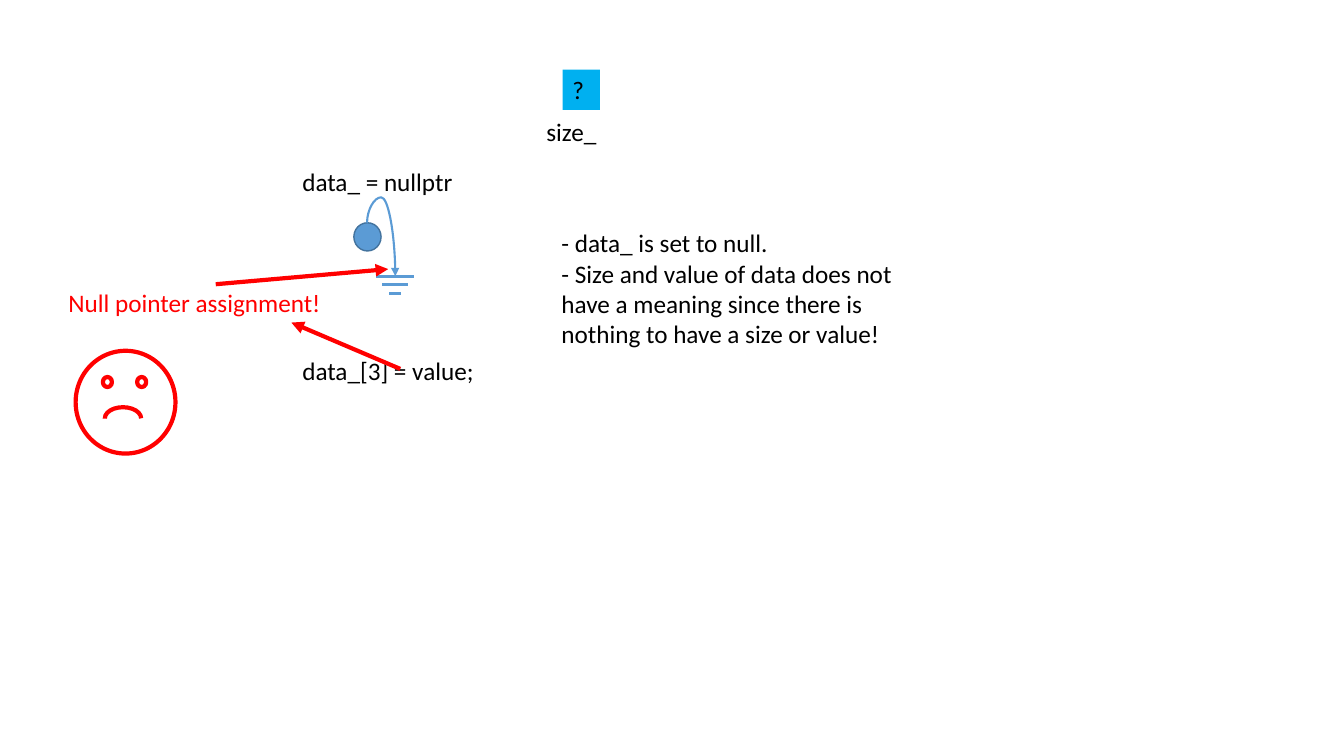
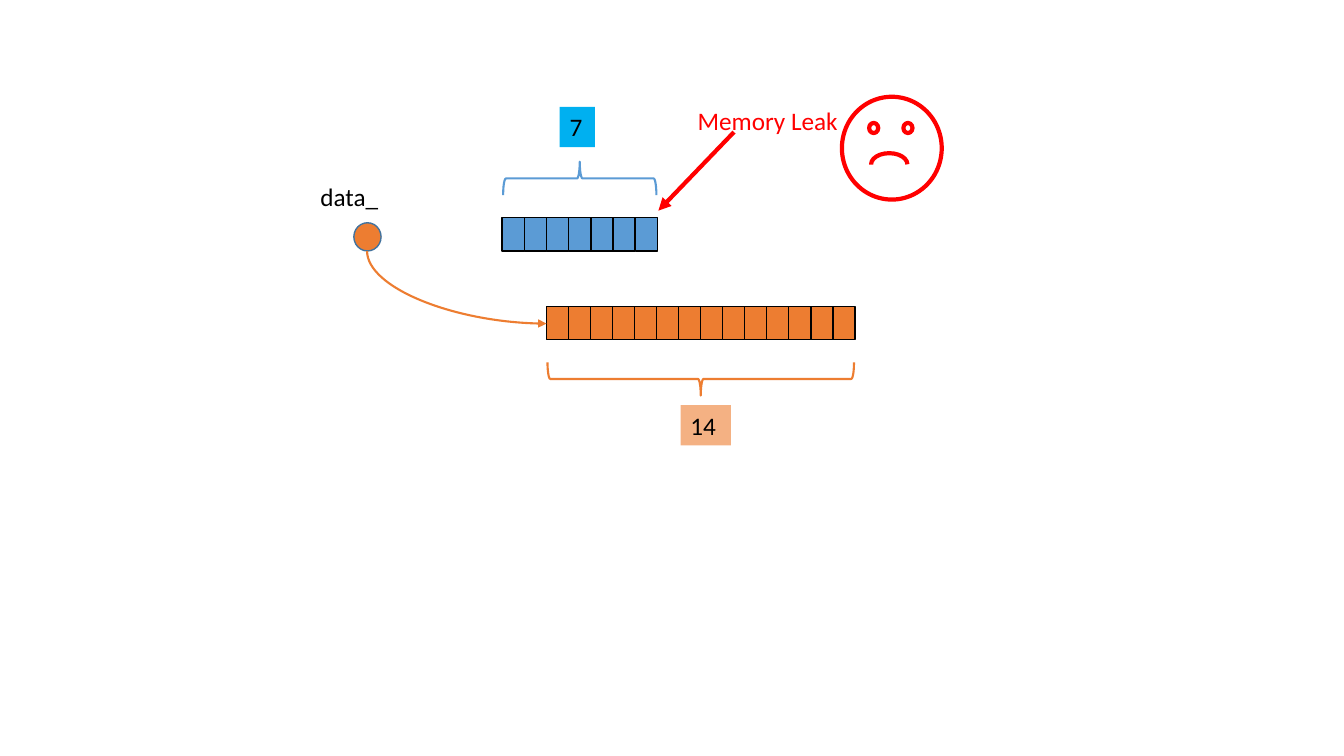
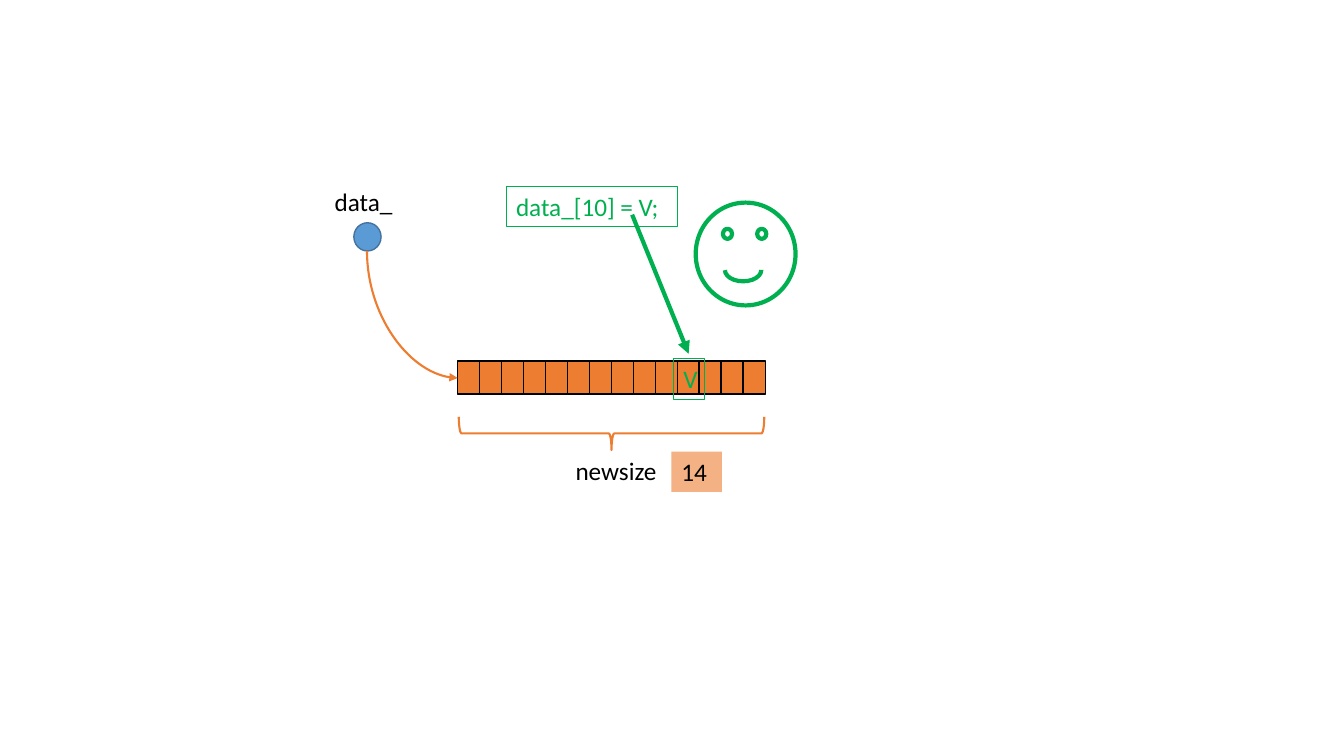
"""Build three slides on null pointers, memory leaks and resized arrays."""
from dataclasses import dataclass
from lxml.etree import SubElement
from pptx import Presentation
from pptx.dml.color import RGBColor
from pptx.enum.shapes import MSO_CONNECTOR, MSO_SHAPE
from pptx.enum.text import MSO_AUTO_SIZE
from pptx.oxml.ns import qn
from pptx.util import Inches, Pt


@dataclass(frozen=True)
class Theme:
    font: str = "Calibri"
    size: float = 18
    black: str = "000000"
    white: str = "FFFFFF"
    blue: str = "5B9BD5"
    navy: str = "43739E"
    sky: str = "00B0F0"
    orange: str = "ED7D31"
    peach: str = "F4B183"
    red: str = "FF0000"
    green: str = "00B050"
    hair: float = 0.75
    thin: float = 1
    curve: float = 1.5
    bar: float = 2.25
    bold: float = 3


theme = Theme()


def draw(slide, kind, box, fill=None, line=None, width=theme.thin,
         text=None, color=theme.black, turn=0, wrap=True):
    place = [Inches(v) for v in box]
    if kind is None:
        shape = slide.shapes.add_textbox(*place)
        frame = shape.text_frame
        frame.word_wrap = wrap
        frame.auto_size = MSO_AUTO_SIZE.SHAPE_TO_FIT_TEXT
        frame.text = text
        for para in frame.paragraphs:
            para.font.name = theme.font
            para.font.size = Pt(theme.size)
            para.font.color.rgb = RGBColor.from_string(color)
    else:
        shape = slide.shapes.add_shape(kind, *place)
        shape.shadow.inherit = False
    if fill:
        shape.fill.solid()
        shape.fill.fore_color.rgb = RGBColor.from_string(fill)
    else:
        shape.fill.background()
    if line:
        shape.line.color.rgb = RGBColor.from_string(line)
        shape.line.width = Pt(width)
    else:
        shape.line.fill.background()
    shape.rotation = turn
    return shape


def link(slide, start, end, color, width, head=True, curve=None, bend=None):
    (x1, y1), (x2, y2) = start, end
    kind = MSO_CONNECTOR.STRAIGHT
    if curve:
        kind = MSO_CONNECTOR.CURVE
        mid_x, mid_y = (x1 + x2) / 2, (y1 + y2) / 2
        half_w, half_h = (y2 - y1) / 2, (x2 - x1) / 2
        x1, y1 = mid_x + half_w, mid_y - half_h
        x2, y2 = mid_x - half_w, mid_y + half_h
    wire = slide.shapes.add_connector(kind, *[Inches(v) for v in (x1, y1, x2, y2)])
    wire.line.color.rgb = RGBColor.from_string(color)
    wire.line.width = Pt(width)
    props = wire._element.spPr
    if curve:
        props.find(qn("a:xfrm")).set("rot", str(270 * 60000))
        geom = props.find(qn("a:prstGeom"))
        geom.set("prst", curve)
        if bend is not None:
            guides = geom.find(qn("a:avLst"))
            if guides is None:
                guides = SubElement(geom, qn("a:avLst"))
            SubElement(guides, qn("a:gd"), name="adj1", fmla=f"val {bend}")
    if head:
        SubElement(props.find(qn("a:ln")), qn("a:tailEnd"), type="triangle")
    SubElement(props, qn("a:effectLst"))


deck = Presentation()
deck.slide_width = Inches(13.33)
deck.slide_height = Inches(7.5)
null, leak, good = [deck.slides.add_slide(deck.slide_layouts[6]) for _ in range(3)]

for slide, fill in ((null, theme.blue), (leak, theme.orange), (good, theme.blue)):
    draw(slide, MSO_SHAPE.OVAL, (3.51, 2.21, 0.27, 0.28), fill, theme.navy)

rows = (
    (leak, 4.98, 6.3, 2.16, 7, theme.blue, -0.39, 270),
    (leak, 5.42, 8.26, 3.04, 14, theme.orange, 0.72, 90),
    (good, 4.54, 7.37, 3.58, 14, theme.orange, 0.72, 90),
)
cell = 0.22
for slide, left, last, top, count, color, shift, turn in rows:
    step = (last - left) / (count - 1)
    for i in range(count):
        draw(slide, MSO_SHAPE.RECTANGLE, (left + i * step, top, cell, 0.33),
             color, theme.black)
    span = last + cell - left - 0.02
    mid = (left + last + cell) / 2
    draw(slide, MSO_SHAPE.RIGHT_BRACE,
         (mid - 0.165, top + shift - span / 2, 0.33, span),
         line=color, width=theme.curve, turn=turn)

notes = "- data_ is set to null.\n- Size and value of data does not have a meaning since there is nothing to have a size or value!"
labels = (
    (null, (5.32, 1.1, 1.19, 0.4), "size_", theme.black, None, None),
    (null, (2.9, 1.6, 1.89, 0.4), "data_ = nullptr", theme.black, None, None),
    (null, (5.58, 0.69, 0.37, 0.4), "?", theme.black, theme.sky, None),
    (null, (5.47, 2.21, 3.88, 1.31), notes, theme.black, None, None),
    (null, (2.9, 3.48, 2.25, 0.4), "data_[3] = value;", theme.black, None, None),
    (null, (0.58, 2.8, 2.75, 0.4), "Null pointer assignment!", theme.red, None, theme.white),
    (leak, (3.08, 1.75, 0.86, 0.4), "data_", theme.black, None, None),
    (leak, (5.55, 1.06, 0.35, 0.4), "7", theme.black, theme.sky, None),
    (leak, (6.75, 4.02, 0.5, 0.4), "14", theme.black, theme.peach, None),
    (good, (5.61, 4.47, 1.32, 0.4), "newsize", theme.black, None, None),
    (good, (6.66, 4.48, 0.5, 0.4), "14", theme.black, theme.peach, None),
    (good, (3.22, 1.8, 0.85, 0.4), "data_", theme.black, None, None),
    (good, (6.68, 3.56, 0.31, 0.4), "V", theme.green, None, theme.green),
    (good, (5.02, 1.85, 1.7, 0.4), "data_[10] = V;", theme.green, None, theme.green),
)
for slide, box, text, color, fill, line in labels:
    draw(slide, None, box, fill, line, theme.hair, text, color)
draw(leak, None, (6.82, 1, 1.61, 0.4), text="Memory Leak", color=theme.red, wrap=False)

for y, half in ((2.74, 0.19), (2.82, 0.13), (2.91, 0.06)):
    link(null, (3.92 - half, y), (3.92 + half, y), theme.blue, theme.bar, head=False)

link(null, (3.64, 2.21), (3.92, 2.74), theme.blue, theme.curve,
     curve="curvedConnector3", bend=-47600)
for slide, end in ((leak, (5.42, 3.21)), (good, (4.54, 3.75))):
    link(slide, (3.64, 2.49), end, theme.orange, theme.curve, curve="curvedConnector2")

arrows = (
    (null, (3.97, 3.66), (2.89, 3.2), theme.red),
    (null, (2.14, 2.82), (3.85, 2.67), theme.red),
    (leak, (7.28, 1.31), (6.53, 2.09), theme.red),
    (good, (6.27, 2.13), (6.83, 3.51), theme.green),
)
for slide, start, end, color in arrows:
    link(slide, start, end, color, theme.bold)

faces = (
    (null, 0.75, 3.48, theme.red, 0),
    (leak, 8.35, 0.96, theme.red, 0),
    (good, 6.9, 2.01, theme.green, 180),
)
for slide, x, y, color, turn in faces:
    for dx, dy, w, h in ((0, 0, 0.99, 1.02), (0.27, 0.26, 0.09, 0.1), (0.61, 0.26, 0.09, 0.1)):
        draw(slide, MSO_SHAPE.OVAL, (x + dx, y + dy, w, h), theme.white, color, theme.bold)
    mouth = draw(slide, MSO_SHAPE.ARC, (x + 0.29, y + 0.56, 0.36, 0.22),
                 line=color, width=theme.bold, turn=turn)
    mouth.adjustments[0] = 107.21

deck.save("out.pptx")
